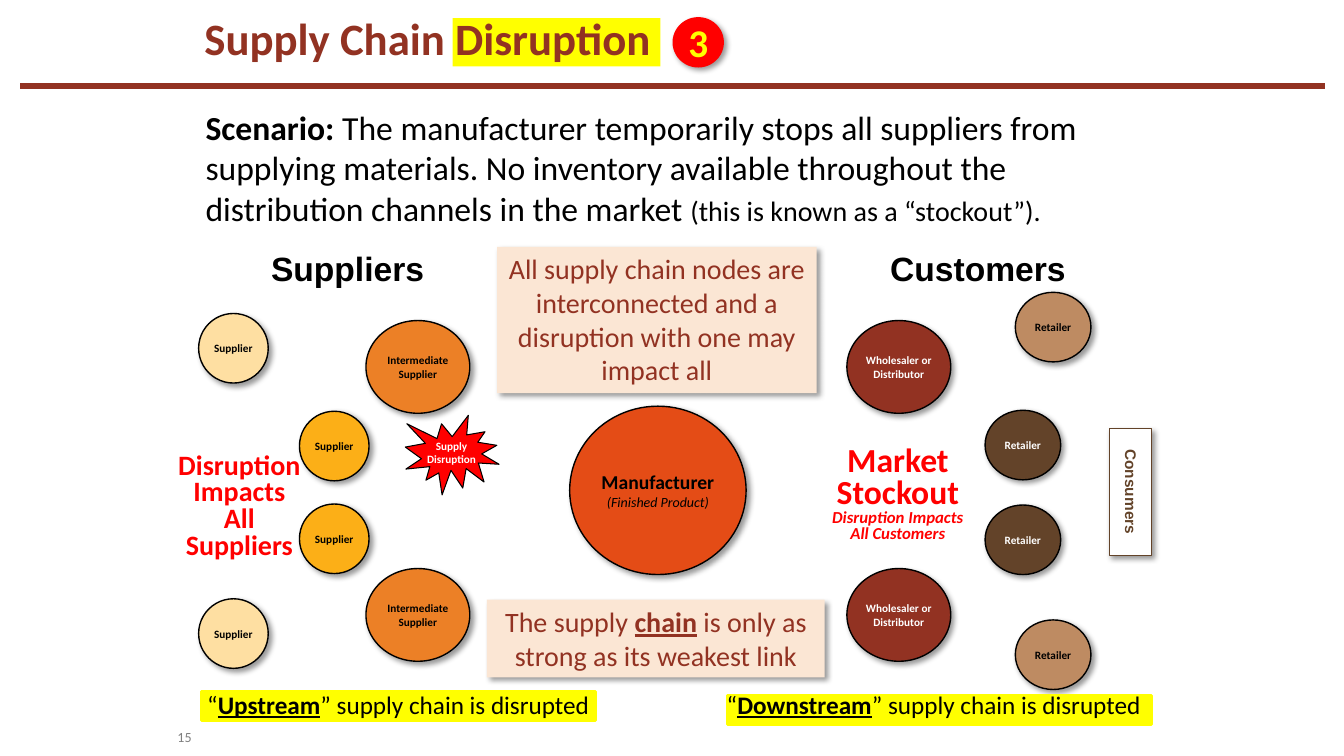
import pptx
import pptx.util
import pptx.dml.color
import pptx.enum.shapes
import pptx.enum.text
import pptx.oxml
import pptx.oxml.ns
from dataclasses import dataclass

Inches = pptx.util.Inches
SHAPE = pptx.enum.shapes.MSO_SHAPE
ALIGN = pptx.enum.text.PP_ALIGN
ANCHOR = pptx.enum.text.MSO_ANCHOR
FIT = pptx.enum.text.MSO_AUTO_SIZE
qn = pptx.oxml.ns.qn


@dataclass(frozen=True)
class Theme:
    body: str = "Calibri"
    label: str = "Arial"
    black: str = "000000"
    white: str = "FFFFFF"
    grey: str = "7F7F7F"
    red: str = "FF0000"
    yellow: str = "FFFF00"
    maroon: str = "923222"
    peach: str = "FBE6D4"
    cream: str = "FEDFA2"
    amber: str = "FCAF17"
    orange: str = "EC8026"
    vermilion: str = "E44C16"
    tan: str = "BE8B62"
    brown: str = "634329"
    title: int = 32
    badge: int = 28
    heading: int = 24
    callout: int = 20
    caption: int = 18
    maker: int = 14
    impact: int = 12
    consumers: int = 11
    small: int = 10
    node: int = 8


class SlideBuilder:
    def __init__(self, slide, theme):
        self.slide = slide
        self.theme = theme

    def color(self, value):
        return pptx.dml.color.RGBColor.from_string(value)

    def line(self, x1, y1, x2, y2, color, width):
        cx = self.slide.shapes.add_connector(
            pptx.enum.shapes.MSO_CONNECTOR.STRAIGHT,
            Inches(x1), Inches(y1), Inches(x2), Inches(y2))
        cx.line.color.rgb = self.color(color)
        cx.line.width = pptx.util.Pt(width)
        cx._element.spPr.append(pptx.oxml.parse_xml(
            f'<a:effectLst {pptx.oxml.ns.nsdecls("a")}/>'))

    def shape(self, kind, box, fill, line=None, width=1, shadow=True):
        sp = self.slide.shapes.add_shape(kind, *map(Inches, box))
        sp.fill.solid()
        sp.fill.fore_color.rgb = self.color(fill)
        if line:
            sp.line.color.rgb = self.color(line)
            sp.line.width = pptx.util.Pt(width)
        else:
            sp.line.fill.background()
        sp.shadow.inherit = False
        if shadow:
            sp._element.spPr.find(qn("a:effectLst")).append(pptx.oxml.parse_xml(
                f'<a:outerShdw {pptx.oxml.ns.nsdecls("a")} blurRad="50800" '
                'dist="38100" dir="2700000" algn="tl" rotWithShape="0">'
                '<a:srgbClr val="000000"><a:alpha val="40000"/></a:srgbClr>'
                '</a:outerShdw>'))
        return sp

    def label(self, sp, lines, size, color, font=None, bold=False, align=ALIGN.CENTER,
              anchor=ANCHOR.TOP, spacing=None, wrap=True, grow=False, inset=True):
        """Each line is a string or a list of (text, font settings) pieces."""
        tf = sp.text_frame
        tf.word_wrap = wrap
        tf.vertical_anchor = anchor
        tf.auto_size = FIT.SHAPE_TO_FIT_TEXT if grow else FIT.NONE
        if not inset:
            tf.margin_left = tf.margin_right = tf.margin_top = tf.margin_bottom = 0
        for i, line in enumerate(lines):
            pieces = [(line, {})] if isinstance(line, str) else line
            p = tf.add_paragraph() if i else tf.paragraphs[0]
            p.alignment = align
            if spacing:
                p.line_spacing = spacing
            p.text = pieces[0][0]
            for piece, _ in pieces[1:]:
                p.add_run().text = piece
            for r, (_, settings) in zip(p.runs, pieces):
                r.font.name = font or self.theme.body
                r.font.size = pptx.util.Pt(settings.get("size", size))
                r.font.color.rgb = self.color(color)
                r.font.bold = settings.get("bold", bold)
                r.font.italic = settings.get("italic", False)
                r.font.underline = settings.get("underline", False)

    def text(self, box, lines, size, color, **style):
        sp = self.slide.shapes.add_textbox(*map(Inches, box))
        self.label(sp, lines, size, color, **style)

    def node(self, box, fill, lines, color, size=None):
        sp = self.shape(SHAPE.OVAL, box, fill, self.theme.black)
        self.label(sp, lines, size or self.theme.node, color, bold=True,
                   anchor=ANCHOR.MIDDLE, inset=False)

    def callout(self, box, line):
        sp = self.shape(SHAPE.RECTANGLE, box, self.theme.peach)
        self.label(sp, [line], self.theme.callout, self.theme.maroon, grow=True)


def main():
    prs = pptx.Presentation()
    prs.slide_width, prs.slide_height = Inches(13.33), Inches(7.5)
    t = Theme()
    s = SlideBuilder(prs.slides.add_slide(prs.slide_layouts[6]), t)
    strong = {"bold": True, "underline": True}

    # Title with rule, highlight and badge
    s.line(0.2, 0.85, 13.14, 0.85, t.maroon, 4.5)
    s.shape(SHAPE.RECTANGLE, (4.49, 0.18, 2.06, 0.48), t.yellow, shadow=False)
    s.text((1.93, 0.15, 9.5, 0.54), ["Supply Chain Disruption"], t.title, t.maroon,
           bold=True, align=ALIGN.LEFT, anchor=ANCHOR.BOTTOM, spacing=0.8, grow=True)
    badge = s.shape(SHAPE.OVAL, (6.67, 0.17, 0.51, 0.5), t.red)
    s.label(badge, ["3"], t.badge, t.yellow, bold=True, anchor=ANCHOR.MIDDLE, inset=False)

    # Scenario
    s.text((1.94, 1.01, 9.49, 1.31), [[
        ("Scenario: ", {"bold": True}),
        ("The manufacturer temporarily stops all suppliers from supplying materials. "
         "No inventory available throughout the distribution channels in the market ", {}),
        ("(this is known as a “stockout”).", {"size": t.callout})]],
        t.heading, t.black, align=ALIGN.LEFT, grow=True)

    # Side headings
    for x, width, heading in ((2.59, 1.73, "Suppliers"), (8.73, 1.96, "Customers")):
        s.text((x, 2.41, width, 0.5), [heading], t.heading, t.black, font=t.label,
               bold=True, align=ALIGN.LEFT, wrap=False, grow=True)

    # Supply chain nodes
    for x, y, fill in ((1.97, 3.11, t.cream), (2.97, 4.08, t.amber),
                       (2.97, 5, t.amber), (1.97, 5.94, t.cream)):
        s.node((x, y, 0.69, 0.69), fill, ["Supplier"], t.black)
    for y in (3.18, 5.64):
        s.node((3.63, y, 1.03, 0.92), t.orange, ["Intermediate Supplier"], t.black)
        s.node((8.4, y, 1.03, 0.92), t.maroon, ["Wholesaler or Distributor"], t.white)
    for x, y, fill, color in ((10.07, 2.9, t.tan, t.black), (9.77, 4.07, t.brown, t.white),
                              (9.77, 5.01, t.brown, t.white), (10.07, 6.15, t.tan, t.black)):
        s.node((x, y, 0.75, 0.69), fill, ["Retailer"], color)
    s.node((5.65, 4.03, 1.75, 1.67), t.vermilion, [
        "Manufacturer",
        [("(Finished Product)", {"size": t.small, "bold": False, "italic": True})]],
        t.black, t.maker)

    # Consumers
    consumers = s.shape(SHAPE.RECTANGLE, (11, 4.25, 0.42, 1.26), t.white, t.brown, 0.75)
    s.label(consumers, ["Consumers"], t.consumers, t.brown, font=t.label, bold=True,
            anchor=ANCHOR.MIDDLE, spacing=0.9, wrap=False)
    consumers._element.txBody.find(qn("a:bodyPr")).set("vert", "vert")

    # Disruption burst and its impacts
    burst = s.shape(SHAPE.EXPLOSION1, (4.02, 4.12, 0.93, 0.79), t.red, t.black, 0.75,
                    shadow=False)
    s.label(burst, ["Supply", "Disruption"], t.node, t.white, bold=True,
            anchor=ANCHOR.MIDDLE, wrap=False, inset=False)
    impact = {"size": t.impact, "italic": True}
    s.text((7.9, 4.38, 2.01, 1.07),
           ["Market", "Stockout", [("Disruption Impacts", impact)], [("All Customers", impact)]],
           t.heading, t.red, bold=True, spacing=0.8, grow=True)
    s.text((1.66, 4.45, 1.43, 1.18), ["Disruption", "Impacts", "All", "Suppliers"],
           t.callout, t.red, bold=True, spacing=0.8, wrap=False, grow=True)

    # Callouts
    s.callout((4.93, 2.45, 3.17, 1.45), "All supply chain nodes are interconnected "
              "and a disruption with one may impact all")
    s.callout((4.83, 5.95, 3.35, 0.77), [
        ("The supply ", {}), ("chain", strong), (" is only as strong as its weakest link", {})])

    # Highlighted captions
    for bar, box, side in (
            ((2, 6.86, 3.91, 0.29), (1.92, 6.82, 4.06, 0.37), "Upstream"),
            ((7.22, 6.9, 4.2, 0.29), (7.1, 6.82, 4.32, 0.37), "Downstream")):
        s.shape(SHAPE.RECTANGLE, bar, t.yellow, t.yellow, 2.25, shadow=False)
        s.text(box, [[("“", {}), (side, strong), ("” supply chain is disrupted", {})]],
               t.caption, t.black, spacing=0.9, grow=True)

    # Slide number
    s.text((1.76, 7.22, 0.21, 0.19), ["15"], t.small, t.grey, align=ALIGN.LEFT,
           anchor=ANCHOR.MIDDLE, inset=False)

    prs.save("out.pptx")


if __name__ == "__main__":
    main()
